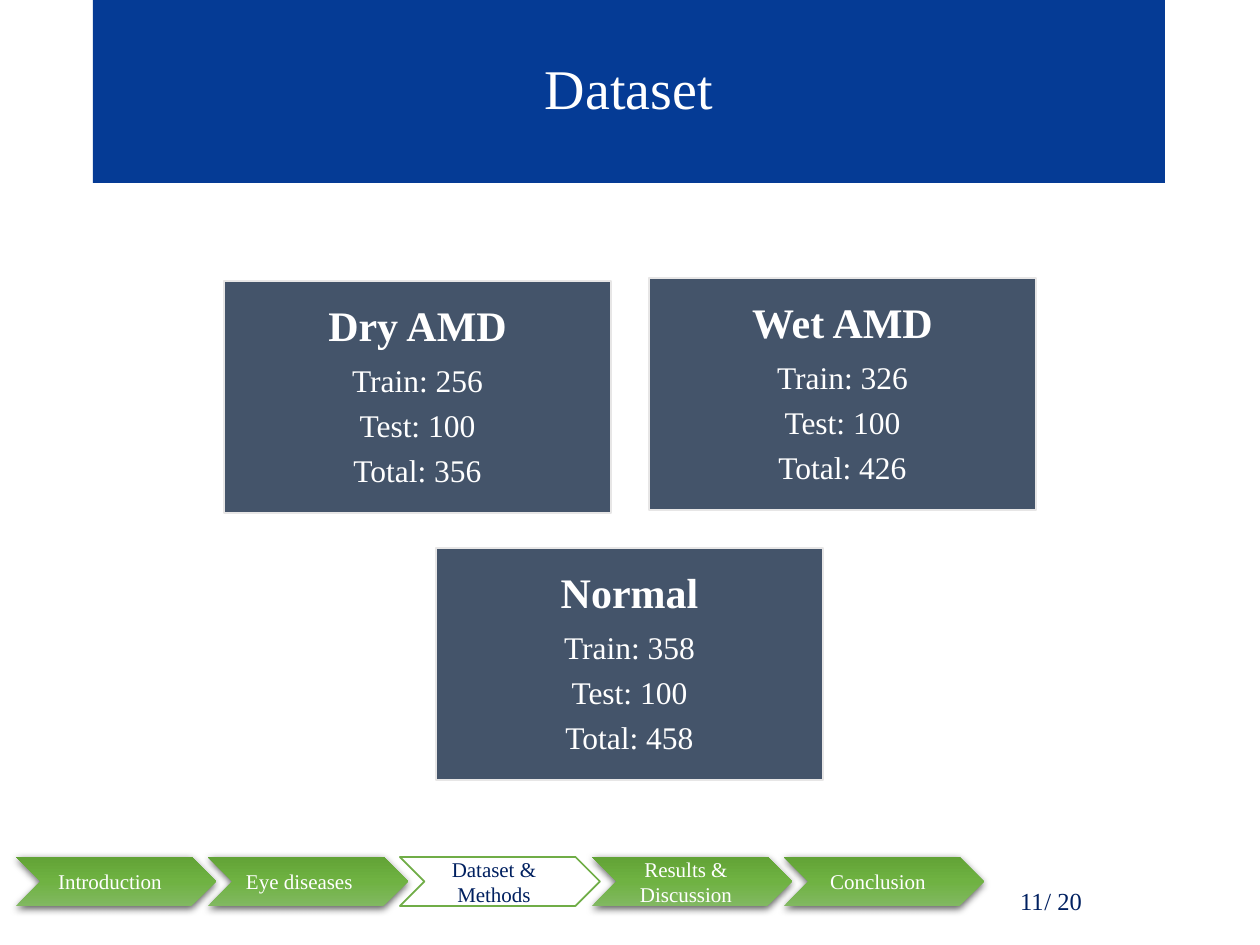
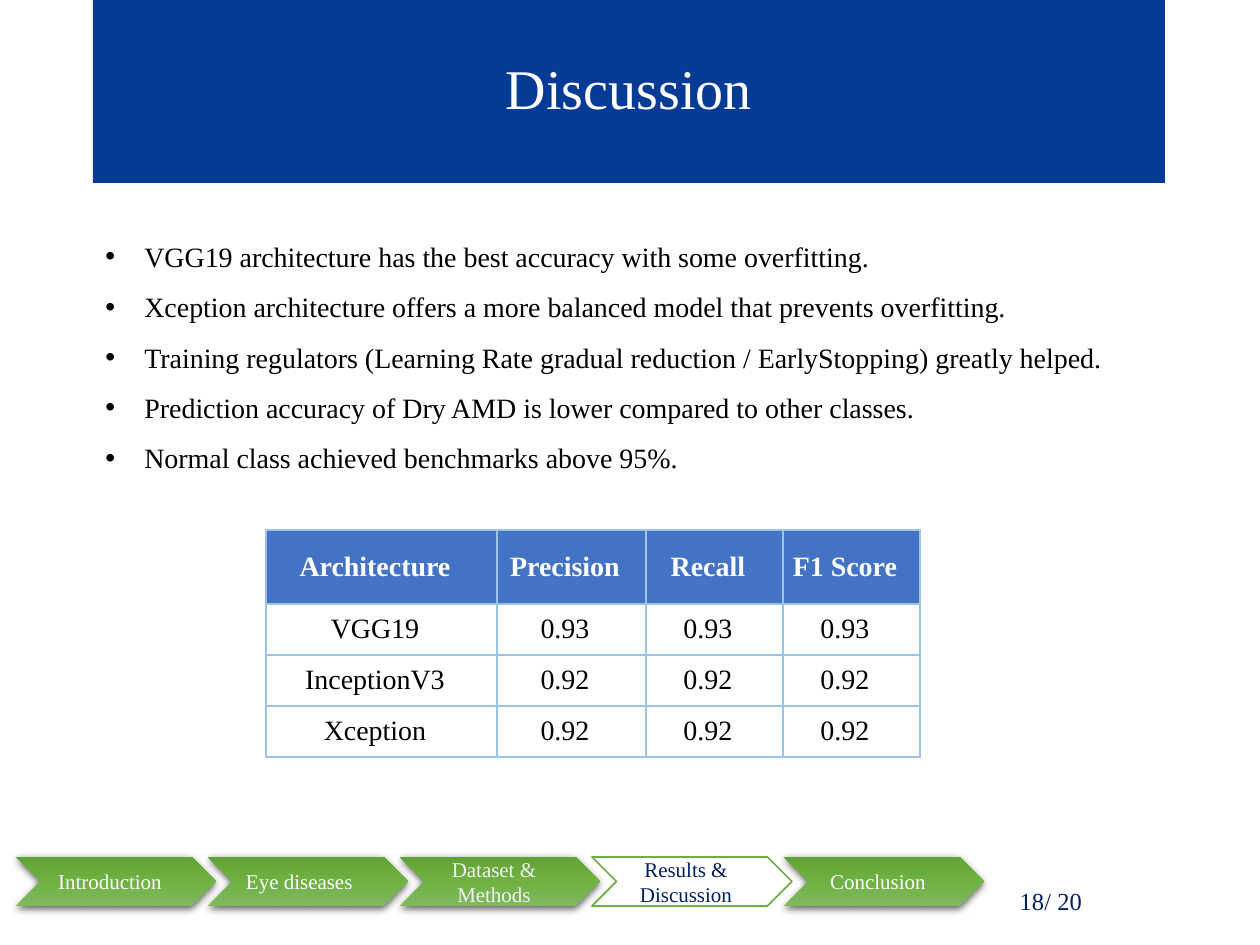
from copy import deepcopy

from lxml import etree
from pptx import Presentation
from pptx.dml.color import RGBColor
from pptx.enum.shapes import MSO_SHAPE
from pptx.enum.text import MSO_ANCHOR, PP_ALIGN
from pptx.oxml.ns import qn
from pptx.util import Emu, Pt

RECTANGLE, CHEVRON = MSO_SHAPE.RECTANGLE, MSO_SHAPE.CHEVRON
MIDDLE = MSO_ANCHOR.MIDDLE
LEFT, CENTER, JUSTIFY = PP_ALIGN.LEFT, PP_ALIGN.CENTER, PP_ALIGN.JUSTIFY

EMU_PER_PX = 914400 / 126
FONT = "Times New Roman"
COLORS = {
    "white": "FFFFFF", "black": "000000", "pale": "F2F2F2", "navy": "002060",
    "title": "053B95", "card": "44546A", "card_line": "E7E6E6",
    "green_line": "70AD47", "header": "4472C4", "grid": "9DC3E6",
}
GREENS = ["81B861", "6FB242", "62A336"]

TITLE_BOX = (93, 0, 1072, 183)
STAGE_BOX = (16, 857, 200, 49)
STAGE_PITCH = 192
STAGES = ["Introduction", "Eye diseases ", "Dataset & Methods",
          "Results & Discussion", "Conclusion"]
PAGE_COUNT = 20

CARD_SIZE = (387, 232)
CARDS = [
    ("Dry AMD", 256, 100, 224, 281),
    ("Wet AMD", 326, 100, 649, 278),
    ("Normal", 358, 100, 436, 548),
]

FINDINGS = [
    "VGG19 architecture has the best accuracy with some overfitting.",
    "Xception architecture offers a more balanced model that prevents overfitting.",
    "Training regulators (Learning Rate gradual reduction / EarlyStopping) greatly helped.",
    "Prediction accuracy of Dry AMD is lower compared to other classes.",
    "Normal class achieved benchmarks above 95%. ",
]
SCORES = [
    ("Architecture", "Precision", "Recall", "F1 Score"),
    ("VGG19", "0.93", "0.93", "0.93"),
    ("InceptionV3", "0.92", "0.92", "0.92"),
    ("Xception", "0.92", "0.92", "0.92"),
]
COLUMN_WIDTHS = [231, 149, 137, 137]
ROW_HEIGHTS = [74, 51, 51, 51]


def px(length):
    return Emu(round(length * EMU_PER_PX))


def rgb(name):
    return RGBColor.from_string(COLORS[name])


def format_para(para, size, color, align=CENTER, bold=False, spacing=None):
    para.alignment = align
    if spacing:
        para.line_spacing = spacing
    for span in para.runs:
        span.font.name = FONT
        span.font.size = Pt(size)
        span.font.bold = bold
        span.font.color.rgb = rgb(color)


def add_text(page, box, text, size, color, align=CENTER, wrap=True):
    frame = page.shapes.add_textbox(*map(px, box)).text_frame
    frame.word_wrap = wrap
    frame.vertical_anchor = MIDDLE
    frame.text = text
    for para in frame.paragraphs:
        format_para(para, size, color, align)
    return frame


def add_block(page, kind, box, fill, line=None):
    shape = page.shapes.add_shape(kind, *map(px, box))
    shape.shadow.inherit = False
    shape.fill.solid()
    shape.fill.fore_color.rgb = rgb(fill)
    if line:
        shape.line.color.rgb = rgb(line)
        shape.line.width = Pt(1)
    else:
        shape.line.fill.background()
    return shape


def add_green_finish(shape):
    """Three-stop gradient, light at the bottom, and a soft shadow below."""
    shape.fill.gradient()
    shape.fill.gradient_angle = 90
    properties = shape._element.spPr
    stop_list = properties.find(qn("a:gradFill")).find(qn("a:gsLst"))
    stop_list.insert(1, deepcopy(stop_list[0]))
    for index, (stop, color) in enumerate(zip(shape.fill.gradient_stops, GREENS)):
        stop.position = index / 2
        stop.color.rgb = RGBColor.from_string(color)

    shadow = etree.SubElement(
        properties.find(qn("a:effectLst")), qn("a:outerShdw"),
        blurRad=str(Pt(4.5)), dist=str(Pt(1.5)), dir="5400000",
        algn="ctr", rotWithShape="0")
    tint = etree.SubElement(shadow, qn("a:srgbClr"), val=COLORS["black"])
    etree.SubElement(tint, qn("a:alpha"), val="63000")


def add_title(page, box, title):
    frame = add_block(page, RECTANGLE, box, "title").text_frame
    frame.word_wrap = True
    frame.vertical_anchor = MIDDLE
    frame.text = title
    format_para(frame.paragraphs[0], 32, "white", spacing=0.9)


def add_stage(page, box, label, active, text_color):
    left, top, width, height = box
    if active:
        add_block(page, CHEVRON, box, "white", "green_line")
    else:
        add_green_finish(add_block(page, CHEVRON, box, "white"))
    label_height = 63 if "&" in label else 38
    label_top = top + (height - label_height) // 2
    add_text(page, (left + 14, label_top, width - 40, label_height),
             label, 12, text_color)


def add_footer(page, box, current, number, text_colors):
    # Progress chevrons
    left, top, width, height = box
    for index, label in enumerate(STAGES):
        active = label == current
        color = "navy" if active else text_colors.get(label, "white")
        add_stage(page, (left + index * STAGE_PITCH, top, width, height),
                  label, active, color)
    # Page number
    add_text(page, (left + 874, top + 19, 284, 50), str(number), 14, "navy")
    add_text(page, (left + 1016, top + 22, 63, 43), f"/ {PAGE_COUNT}", 14,
             "navy", LEFT, wrap=False)


def add_card(page, box, heading, train, test):
    frame = add_block(page, RECTANGLE, box, "card", "card_line").text_frame
    frame.word_wrap = True
    frame.vertical_anchor = MIDDLE
    frame.margin_left = frame.margin_right = px(13)
    frame.margin_top = frame.margin_bottom = px(13)
    frame.text = "\n".join([heading, f"Train: {train}", f"Test: {test}",
                            f"Total: {train + test}"])
    for index, para in enumerate(frame.paragraphs):
        first = index == 0
        format_para(para, 24 if first else 18, "white", bold=first, spacing=0.9)
        # Gap after each line, as a share of its size
        para.space_after = Pt(0)
        gap = para._p.pPr.find(qn("a:spcAft"))
        gap.remove(gap[0])
        etree.SubElement(gap, qn("a:spcPct"), val="35000")


def add_findings(page, box):
    frame = add_text(page, box, "\n".join(FINDINGS), 16, "black", JUSTIFY)
    for para in frame.paragraphs:
        para.line_spacing = 1.5
        properties = para._p.get_or_add_pPr()
        properties.set("marL", str(px(39)))
        properties.set("indent", str(-px(39)))
        etree.SubElement(properties, qn("a:buFont"), typeface="Arial")
        etree.SubElement(properties, qn("a:buChar"), char="•")


def add_cell_borders(cell):
    properties = cell._tc.get_or_add_tcPr()
    for side in ("lnL", "lnR", "lnT", "lnB"):
        line = etree.SubElement(properties, qn(f"a:{side}"), w=str(Pt(1)))
        fill = etree.SubElement(line, qn("a:solidFill"))
        etree.SubElement(fill, qn("a:srgbClr"), val=COLORS["grid"])


def add_scores(page, left, top):
    box = (left, top, sum(COLUMN_WIDTHS), sum(ROW_HEIGHTS))
    table = page.shapes.add_table(len(SCORES), len(COLUMN_WIDTHS),
                                  *map(px, box)).table
    for column, width in zip(table.columns, COLUMN_WIDTHS):
        column.width = px(width)
    for row, height, values in zip(table.rows, ROW_HEIGHTS, SCORES):
        row.height = px(height)
        header = values is SCORES[0]
        for cell, value in zip(row.cells, values):
            add_cell_borders(cell)
            cell.fill.solid()
            cell.fill.fore_color.rgb = rgb("header" if header else "white")
            cell.vertical_anchor = MIDDLE
            cell.margin_left, cell.margin_right = px(3), px(16)
            cell.margin_top = cell.margin_bottom = 0
            cell.text = value
            format_para(cell.text_frame.paragraphs[0], 16,
                        "white" if header else "black", bold=header)


def add_page(deck, title, stage, number, text_colors):
    page = deck.slides.add_slide(deck.slide_layouts[6])
    add_footer(page, STAGE_BOX, stage, number, text_colors)
    add_title(page, TITLE_BOX, title)
    return page


def add_dataset_page(deck):
    page = add_page(deck, "Dataset", "Dataset & Methods", 11, {})
    for heading, train, test, left, top in CARDS:
        add_card(page, (left, top, *CARD_SIZE), heading, train, test)


def add_discussion_page(deck):
    page = add_page(deck, "Discussion", "Results & Discussion", 18,
                    {"Dataset & Methods": "pale"})
    add_findings(page, (93, 218, 1072, 261))
    add_scores(page, 266, 530)


def main():
    deck = Presentation()
    deck.slide_width, deck.slide_height = px(1260), px(945)
    add_dataset_page(deck)
    add_discussion_page(deck)
    deck.save("out.pptx")


if __name__ == "__main__":
    main()
